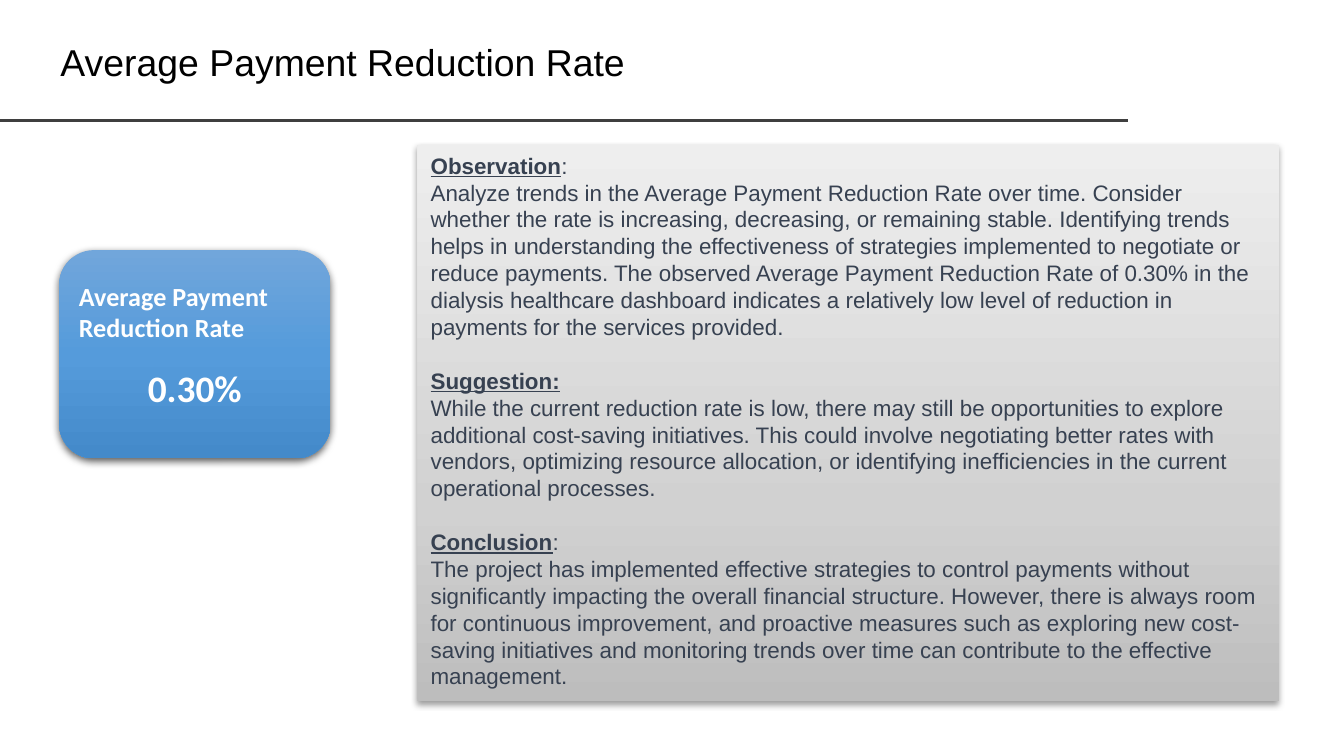
import pptx
import pptx.dml.color
import pptx.enum.shapes
import pptx.enum.text
import pptx.oxml
import pptx.oxml.ns
import pptx.util

Pt = pptx.util.Pt
ALIGN = pptx.enum.text.PP_ALIGN
ANCHOR = pptx.enum.text.MSO_ANCHOR
SHAPE = pptx.enum.shapes.MSO_SHAPE
NS = pptx.oxml.ns.nsdecls("a")

TITLE = {"name": "Arial", "size": Pt(20), "bold": False}
BODY = {"name": "Arial", "size": Pt(12), "bold": False, "underline": False}
HEADING = {**BODY, "bold": True, "underline": True}
LABEL = {"name": "Calibri", "size": Pt(14), "bold": True}
VALUE = {**LABEL, "size": Pt(20)}

SECTIONS = [
    ("Observation", ":",
     "Analyze trends in the Average Payment Reduction Rate over time. Consider whether the rate is "
     "increasing, decreasing, or remaining stable. Identifying trends helps in understanding the "
     "effectiveness of strategies implemented to negotiate or reduce payments. The observed Average "
     "Payment Reduction Rate of 0.30% in the dialysis healthcare dashboard indicates a relatively low "
     "level of reduction in payments for the services provided."),
    ("Suggestion:", "",
     "While the current reduction rate is low, there may still be opportunities to explore additional "
     "cost-saving initiatives. This could involve negotiating better rates with vendors, optimizing "
     "resource allocation, or identifying inefficiencies in the current operational processes."),
    ("Conclusion", ":",
     "The project has implemented effective strategies to control payments without significantly "
     "impacting the overall financial structure. However, there is always room for continuous "
     "improvement, and proactive measures such as exploring new cost-saving initiatives and monitoring "
     "trends over time can contribute to the effective management."),
]


def rgb(value):
    """Turn a hex string into a colour."""
    return pptx.dml.color.RGBColor.from_string(value)


def set_attrs(obj, values):
    """Set each attribute named in a dict."""
    for name, value in values.items():
        setattr(obj, name, value)


def add_run(p, text, font, color):
    """Append a formatted run to a paragraph."""
    r = p.add_run()
    r.text = text
    set_attrs(r.font, font)
    r.font.color.rgb = rgb(color)


def add_panel(shapes, kind, box, stops, angle, blur, dist, alpha):
    """Add a borderless shape with a gradient fill and a shadow falling straight down."""
    sp = shapes.add_shape(kind, *map(Pt, box))
    sp.line.fill.background()
    sp.shadow.inherit = False
    sp.fill.gradient()
    grad = sp._element.spPr.find(pptx.oxml.ns.qn("a:gradFill"))
    gs = "".join(f'<a:gs pos="{pos * 1000}"><a:srgbClr val="{color}"/></a:gs>' for pos, color in stops)
    grad.getparent().replace(grad, pptx.oxml.parse_xml(
        f'<a:gradFill {NS} rotWithShape="1"><a:gsLst>{gs}</a:gsLst>'
        f'<a:lin ang="{angle * 60000}" scaled="0"/></a:gradFill>'))
    sp._element.spPr.find(pptx.oxml.ns.qn("a:effectLst")).append(pptx.oxml.parse_xml(
        f'<a:outerShdw {NS} blurRad="{Pt(blur)}" dist="{Pt(dist)}" dir="5400000" rotWithShape="0">'
        f'<a:srgbClr val="000000"><a:alpha val="{alpha * 1000}"/></a:srgbClr></a:outerShdw>'))
    return sp


def add_header(slide, box, rule_y):
    """Place the title in its box and the rule below it."""
    left, top, width, height = box
    sp = slide.shapes.title
    set_attrs(sp, {"left": Pt(left), "top": Pt(top), "width": Pt(width), "height": Pt(height)})
    tf = sp.text_frame
    set_attrs(tf, {"vertical_anchor": ANCHOR.MIDDLE, "auto_size": pptx.enum.text.MSO_AUTO_SIZE.NONE})
    p = tf.paragraphs[0]
    p.alignment = ALIGN.LEFT
    add_run(p, "Average Payment Reduction Rate", TITLE, "000000")
    rule = slide.shapes.add_connector(pptx.enum.shapes.MSO_CONNECTOR.STRAIGHT,
                                      Pt(-0.7), Pt(rule_y), Pt(left + width + 0.7), Pt(rule_y))
    rule.line.width = Pt(1.5)
    rule.line.color.rgb = rgb("3F3F3F")
    rule._element.spPr.append(pptx.oxml.parse_xml(f"<a:effectLst {NS}/>"))


def add_findings(slide, box):
    """Place the grey panel with its headed sections."""
    sp = add_panel(slide.shapes, SHAPE.RECTANGLE, box,
                   [(0, "BDBDBD"), (35, "D1D1D1"), (100, "EEEEEE")], 270, 3.1, 1.6, 38)
    tf = sp.text_frame
    set_attrs(tf, {"word_wrap": True, "vertical_anchor": ANCHOR.TOP})
    leading = Pt(14.4)
    for i, (heading, mark, text) in enumerate(SECTIONS):
        p = tf.add_paragraph() if i else tf.paragraphs[0]
        set_attrs(p, {"alignment": ALIGN.LEFT, "line_spacing": leading})
        if i:
            p.space_before = leading
        add_run(p, heading, HEADING, "374151")
        if mark:
            add_run(p, mark, BODY, "374151")
        p = tf.add_paragraph()
        set_attrs(p, {"alignment": ALIGN.LEFT, "line_spacing": leading})
        add_run(p, text, BODY, "374151")


def add_metric_card(slide, box):
    """Place the blue card with its label above its value."""
    left, top, width, height = box
    group = slide.shapes.add_group_shape()
    sp = add_panel(group.shapes, SHAPE.ROUNDED_RECTANGLE, box,
                   [(0, "71A6DB"), (50, "559BDB"), (100, "448ACA")], 90, 4.5, 1.5, 63)
    tf = sp.text_frame
    set_attrs(tf, {"vertical_anchor": ANCHOR.BOTTOM, "margin_bottom": Pt(20.5)})
    p = tf.paragraphs[0]
    p.alignment = ALIGN.CENTER
    add_run(p, "0.30%", VALUE, "FFFFFF")
    label = group.shapes.add_textbox(Pt(left + 3.5), Pt(top + 12.5), Pt(width - 3.5), Pt(41.5))
    label.text_frame.word_wrap = True
    add_run(label.text_frame.paragraphs[0], "Average Payment Reduction Rate", LABEL, "FFFFFF")


def main():
    """Build and save the slide."""
    prs = pptx.Presentation()
    set_attrs(prs, {"slide_width": Pt(720), "slide_height": Pt(405)})
    slide = prs.slides.add_slide(prs.slide_layouts[5])
    add_header(slide, (25.2, 10.1, 578.2, 45.4), 64.4)
    add_findings(slide, (223.6, 77.8, 461.5, 298))
    add_metric_card(slide, (31.7, 134, 145.4, 111.6))
    prs.save("out.pptx")


if __name__ == "__main__":
    main()
